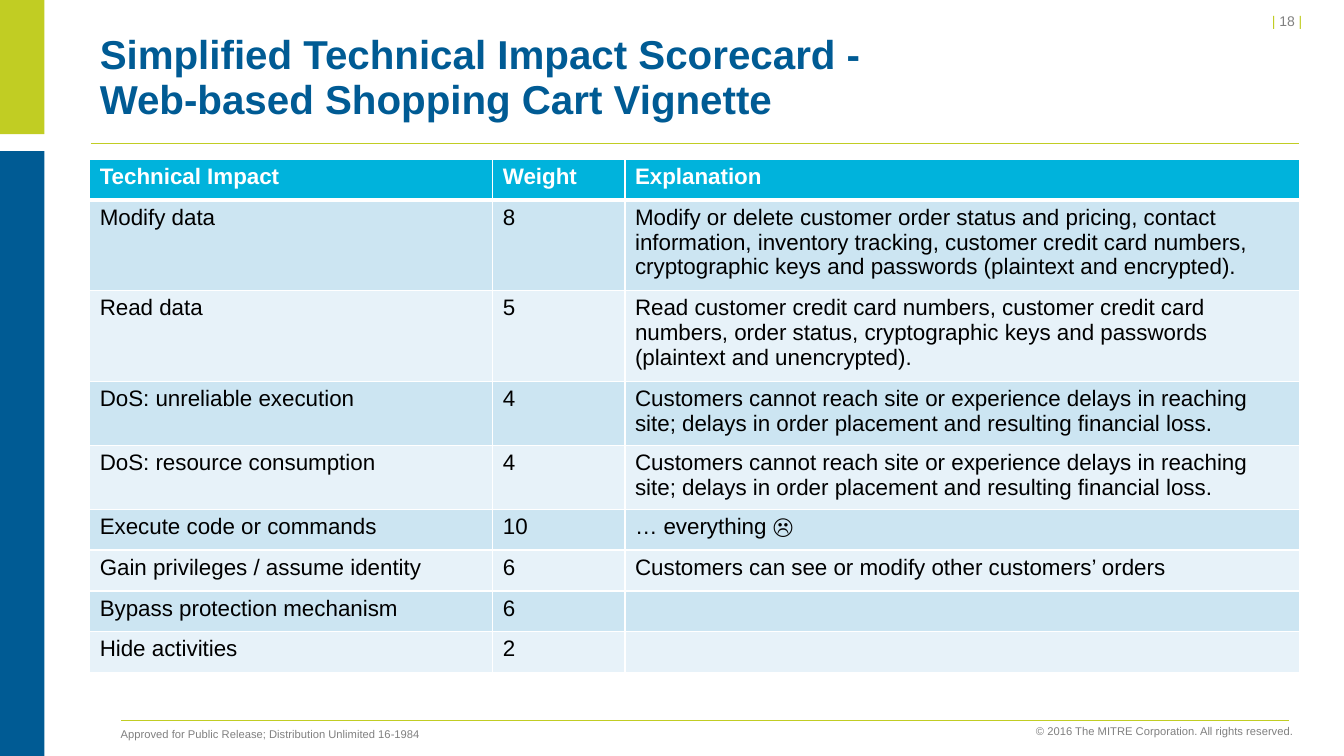
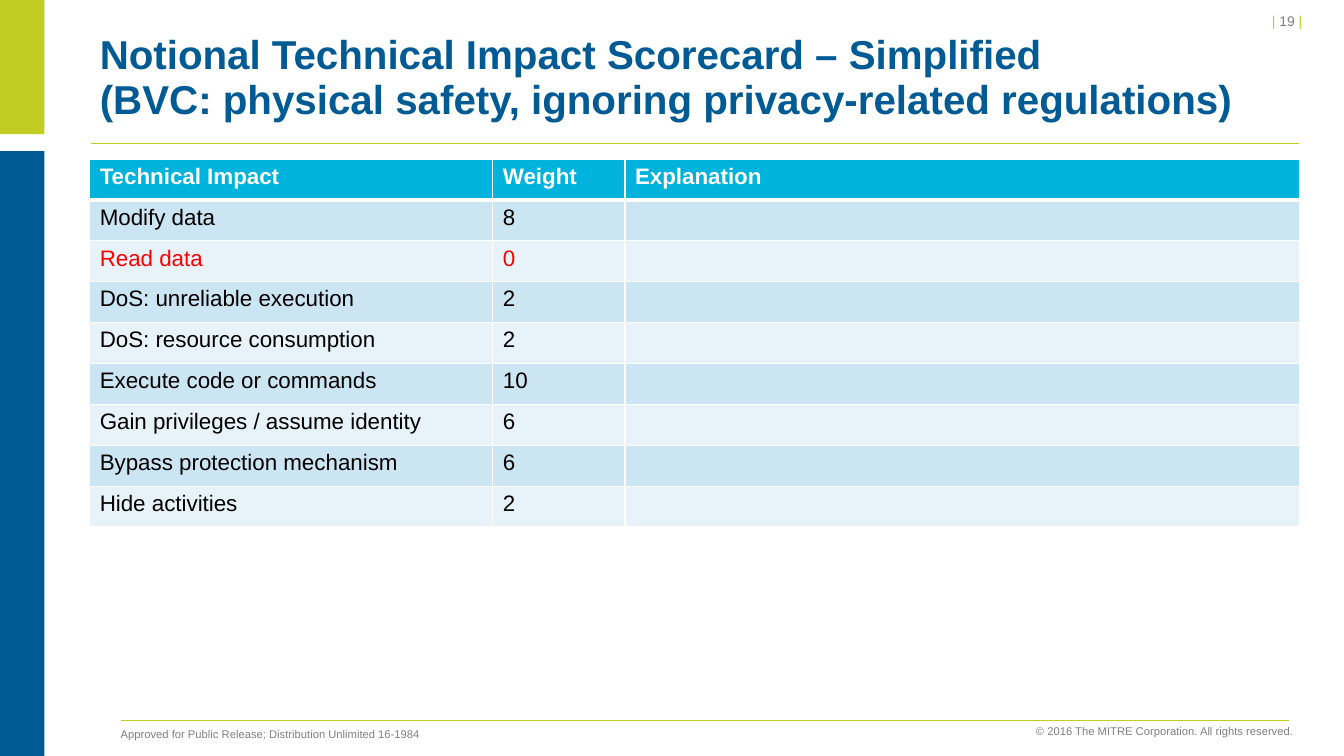
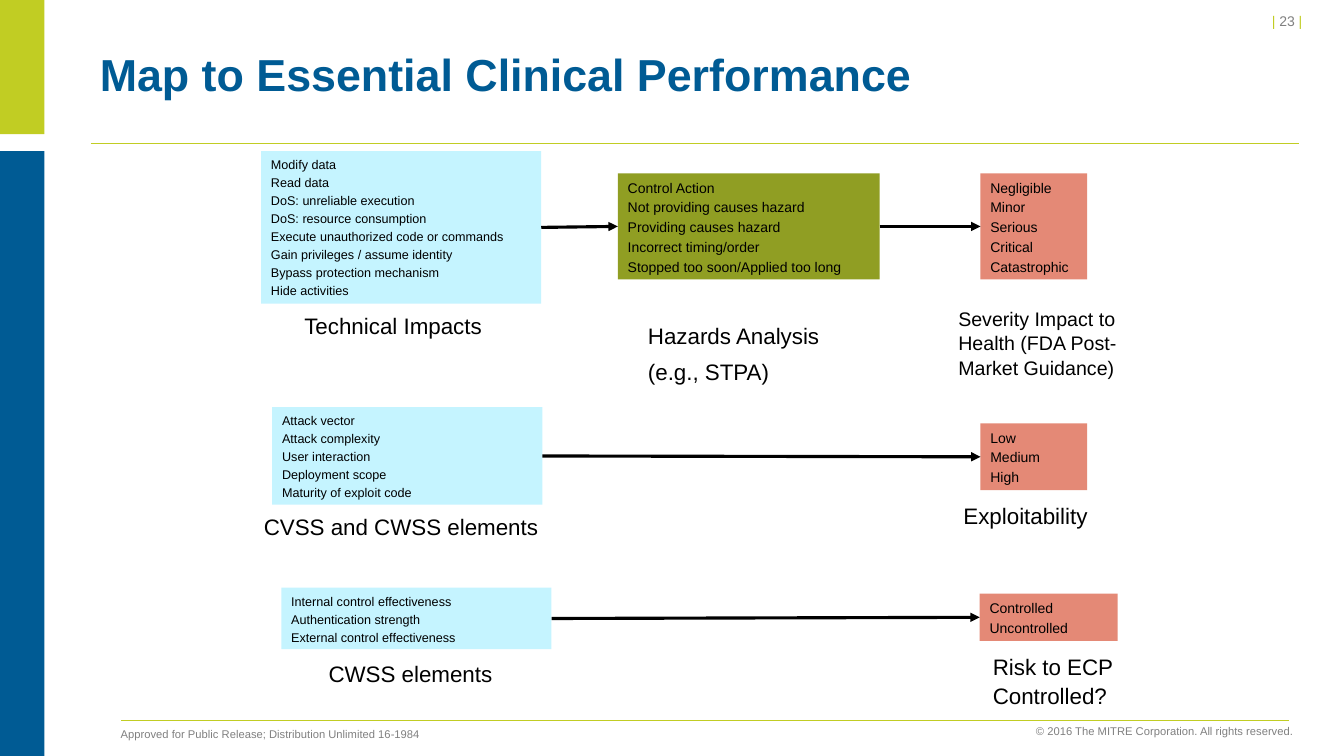
"""Build three slides on technical impact scorecards and clinical performance."""
import pptx
import pptx.chart.data
import pptx.dml.color
import pptx.enum.shapes
import pptx.enum.text
import pptx.oxml
import pptx.oxml.ns
import pptx.util

Cm = pptx.util.Cm
Pt = pptx.util.Pt
qn = pptx.oxml.ns.qn
LEFT = pptx.enum.text.PP_ALIGN.LEFT
RIGHT = pptx.enum.text.PP_ALIGN.RIGHT
FONT = "Arial"

COLORS = {
    "lime": "C1CD23", "blue": "005B94", "gray": "808080", "black": "000000",
    "white": "FFFFFF", "red": "FF0000", "header": "00B3DC",
    "band_dark": "CCE5F2", "band_light": "E7F2F9",
    "input": "C5F4FF", "analysis": "909E23", "result": "E48976",
}

APPROVAL = "Approved for Public Release; Distribution Unlimited 16-1984"
COPYRIGHT = "© 2016 The MITRE Corporation. All rights reserved."

BANDS = [("lime", 0, 3.38), ("blue", 3.81, 15.24)]
RULES = [(2.29, 32.74, 3.61), (3.05, 32.49, 18.16)]

HEADINGS = ["Technical Impact", "Weight", "Explanation"]
COLUMN_WIDTHS = [10.16, 3.33, 16.99]
ROW_HEIGHTS = {1: 1.03, 2: 1.5, 3: 2.15}
IMPACTS = [
    "Modify data",
    "Read data",
    "DoS: unreliable execution",
    "DoS: resource consumption",
    "Execute code or commands",
    "Gain privileges / assume identity",
    "Bypass protection mechanism",
    "Hide activities",
]
DELAYS = ("Customers cannot reach site or experience delays in reaching site; "
          "delays in order placement and resulting financial loss.")

SCORECARDS = [
    {
        "number": 18,
        "title": ["Simplified Technical Impact Scorecard -",
                  "Web-based Shopping Cart Vignette"],
        "weights": [8, 5, 4, 4, 10, 6, 6, 2],
        "explanations": [
            "Modify or delete customer order status and pricing, contact information, "
            "inventory tracking, customer credit card numbers, cryptographic keys and "
            "passwords (plaintext and encrypted).",
            "Read customer credit card numbers, customer credit card numbers, order "
            "status, cryptographic keys and passwords (plaintext and unencrypted).",
            DELAYS,
            DELAYS,
            "… everything ☹",
            "Customers can see or modify other customers’ orders",
            "",
            "",
        ],
        "lines": [3, 3, 2, 2, 1, 1, 1, 1],
        "highlight": None,
    },
    {
        "number": 19,
        "title": ["Notional Technical Impact Scorecard – Simplified",
                  "(BVC: physical safety, ignoring privacy-related regulations)"],
        "weights": [8, 0, 2, 2, 10, 6, 6, 2],
        "explanations": [""] * len(IMPACTS),
        "lines": [1] * len(IMPACTS),
        "highlight": "Read data",
    },
]

MAP_NUMBER = 23
MAP_TITLE = ["Map to Essential Clinical Performance"]
MAP_BOXES = {
    "impacts": ("input", 9, (6.58, 3.81, 7.06, 3.84), [
        "Modify data", "Read data", "DoS: unreliable execution",
        "DoS: resource consumption", "Execute unauthorized code or commands",
        "Gain privileges / assume identity", "Bypass protection mechanism",
        "Hide activities"]),
    "hazards": ("analysis", 10, (15.57, 4.37, 6.6, 2.67), [
        "Control Action", "Not providing causes hazard", "Providing causes hazard",
        "Incorrect timing/order", "Stopped too soon/Applied too long"]),
    "severity": ("result", 10, (24.71, 4.37, 2.69, 2.67), [
        "Negligible", "Minor", "Serious", "Critical", "Catastrophic"]),
    "attack": ("input", 9, (6.86, 10.26, 6.81, 2.46), [
        "Attack vector", "Attack complexity", "User interaction",
        "Deployment scope", "Maturity of exploit code"]),
    "exploitability": ("result", 10, (24.71, 10.67, 2.69, 1.68), [
        "Low", "Medium", "High"]),
    "controls": ("input", 9, (7.09, 14.81, 6.81, 1.55), [
        "Internal control effectiveness", "Authentication strength",
        "External control effectiveness"]),
    "risk": ("result", 10, (24.69, 14.96, 3.48, 1.19), [
        "Controlled", "Uncontrolled"]),
}
MAP_CAPTIONS = [
    (16, (7.42, 7.72, 5.03, 0.94), ["Technical Impacts"]),
    (16, (16.08, 7.95, 4.88, 1.83), ["Hazards Analysis", "(e.g., STPA)"]),
    (14, (23.9, 7.57, 4.75, 2.06),
     ["Severity Impact to Health (FDA Post-Market Guidance)"]),
    (16, (6.4, 12.78, 7.49, 0.94), ["CVSS and CWSS elements"]),
    (16, (24.03, 12.5, 4.75, 0.94), ["Exploitability"]),
    (16, (8.03, 16.48, 4.7, 0.94), ["CWSS elements"]),
    (16, (24.77, 16.31, 4.75, 1.63), ["Risk to ECP Controlled?"]),
]
MAP_ARROWS = [("impacts", "hazards"), ("hazards", "severity"),
              ("attack", "exploitability"), ("controls", "risk")]


def rgb(name):
    return pptx.dml.color.RGBColor.from_string(COLORS[name])


def style_font(paragraph, size, color, bold=False):
    font = paragraph.font
    font.name, font.size, font.bold = FONT, Pt(size), bold
    font.color.rgb = rgb(color)


def write_lines(shape, lines, size, color="black", alignment=LEFT,
                space_after=0, line_spacing=None):
    frame = shape.text_frame
    frame.word_wrap = True
    frame.vertical_anchor = pptx.enum.text.MSO_ANCHOR.TOP
    for index, line in enumerate(lines):
        paragraph = frame.add_paragraph() if index else frame.paragraphs[0]
        paragraph.text = line
        paragraph.alignment = alignment
        paragraph.space_after = Pt(space_after)
        paragraph.line_spacing = line_spacing
        style_font(paragraph, size, color)


def add_text(slide, box, lines, size, **options):
    shape = slide.shapes.add_textbox(*map(Cm, box))
    write_lines(shape, lines, size, **options)
    return shape


def add_rectangle(slide, box, color):
    shape = slide.shapes.add_shape(
        pptx.enum.shapes.MSO_SHAPE.RECTANGLE, *map(Cm, box))
    shape.shadow.inherit = False
    shape.fill.solid()
    shape.fill.fore_color.rgb = rgb(color)
    shape.line.fill.background()
    return shape


def add_line(slide, ends, color, width):
    line = slide.shapes.add_connector(
        pptx.enum.shapes.MSO_CONNECTOR.STRAIGHT, *map(Cm, ends))
    line.line.color.rgb = rgb(color)
    line.line.width = Pt(width)
    properties = line.element.spPr
    properties.append(pptx.oxml.parse_xml(
        f"<a:effectLst {pptx.oxml.ns.nsdecls('a')}/>"))
    return line


def add_arrow(slide, source, target):
    arrow = add_line(slide, (0, 0, 0, 0), "black", 2.25)
    arrow.begin_connect(source, 3)
    arrow.end_connect(target, 1)
    arrow.element.spPr.find(qn("a:ln")).append(pptx.oxml.parse_xml(
        f'<a:tailEnd {pptx.oxml.ns.nsdecls("a")} type="triangle"/>'))


def add_page_number(slide, number):
    shape = add_text(slide, (27.13, 0.18, 5.94, 0.69), [""], 10, alignment=RIGHT)
    paragraph = shape.text_frame.paragraphs[0]
    for text, color in [("|", "lime"), (f" {number} ", "gray"), ("|", "lime")]:
        run = paragraph.add_run()
        run.text = text
        run.font.color.rgb = rgb(color)


def add_titled_slide(presentation, number, title_lines, title_size):
    slide = presentation.slides.add_slide(presentation.slide_layouts[5])
    for color, top, height in BANDS:
        add_rectangle(slide, (0, top, 1.12, height), color)
    for left, right, y in RULES:
        add_line(slide, (left, y, right, y), "lime", 1)
    add_page_number(slide, number)
    add_text(slide, (25.76, 18.14, 7.09, 0.61), [COPYRIGHT], 8,
             color="gray", alignment=RIGHT)
    add_text(slide, (2.79, 18.08, 8.53, 0.71), [APPROVAL], 8,
             color="gray", line_spacing=Pt(13))

    title = slide.shapes.title
    title.left, title.top, title.width, title.height = map(
        Cm, (2.26, 0.76, 30.48, 2.41))
    frame = title.text_frame
    frame.auto_size = pptx.enum.text.MSO_AUTO_SIZE.NONE
    frame.vertical_anchor = pptx.enum.text.MSO_ANCHOR.MIDDLE
    paragraph = frame.paragraphs[0]
    for index, line in enumerate(title_lines):
        if index:
            paragraph.add_line_break()
        paragraph.add_run().text = line
    paragraph.alignment = LEFT
    paragraph.line_spacing = Pt(32)
    style_font(paragraph, title_size, "blue", bold=True)
    return slide


def set_borders(cell, bottom_width):
    properties = cell._tc.get_or_add_tcPr()
    for side, width in [("L", 1), ("R", 1), ("T", 1), ("B", bottom_width)]:
        properties.append(pptx.oxml.parse_xml(
            f'<a:ln{side} {pptx.oxml.ns.nsdecls("a")} w="{Pt(width)}">'
            f'<a:solidFill><a:srgbClr val="{COLORS["white"]}"/></a:solidFill>'
            f'</a:ln{side}>'))


def fill_cell(cell, text, fill, color, is_header):
    set_borders(cell, 3 if is_header else 1)
    cell.fill.solid()
    cell.fill.fore_color.rgb = rgb(fill)
    paragraph = cell.text_frame.paragraphs[0]
    paragraph.text = text
    style_font(paragraph, 16, color, bold=is_header)


def add_scorecard(presentation, scorecard):
    slide = add_titled_slide(
        presentation, scorecard["number"], scorecard["title"], 28.8)
    rows = [HEADINGS, *zip(IMPACTS, map(str, scorecard["weights"]),
                           scorecard["explanations"])]
    heights = [ROW_HEIGHTS[count] for count in [1, *scorecard["lines"]]]
    table = slide.shapes.add_table(
        len(rows), len(HEADINGS), Cm(2.26), Cm(4.01),
        Cm(sum(COLUMN_WIDTHS)), Cm(sum(heights))).table
    table.horz_banding = False
    for column, width in zip(table.columns, COLUMN_WIDTHS):
        column.width = Cm(width)
    for index, (values, height) in enumerate(zip(rows, heights)):
        table.rows[index].height = Cm(height)
        is_header = index == 0
        if is_header:
            fill, color = "header", "white"
        else:
            fill = "band_dark" if index % 2 else "band_light"
            color = "red" if values[0] == scorecard["highlight"] else "black"
        for cell, text in zip(table.rows[index].cells, values):
            fill_cell(cell, text, fill, color, is_header)


def add_performance_map(presentation):
    slide = add_titled_slide(presentation, MAP_NUMBER, MAP_TITLE, 32)
    boxes = {}
    for name, (color, size, place, lines) in MAP_BOXES.items():
        boxes[name] = add_rectangle(slide, place, color)
        write_lines(boxes[name], lines, size, space_after=1.5, line_spacing=1.05)
    for size, place, lines in MAP_CAPTIONS:
        add_text(slide, place, lines, size, space_after=6, line_spacing=1.05)
    for source, target in MAP_ARROWS:
        add_arrow(slide, boxes[source], boxes[target])


def main():
    presentation = pptx.Presentation()
    presentation.slide_width = Cm(33.87)
    presentation.slide_height = Cm(19.05)
    for scorecard in SCORECARDS:
        add_scorecard(presentation, scorecard)
    add_performance_map(presentation)
    presentation.save("out.pptx")


if __name__ == "__main__":
    main()
